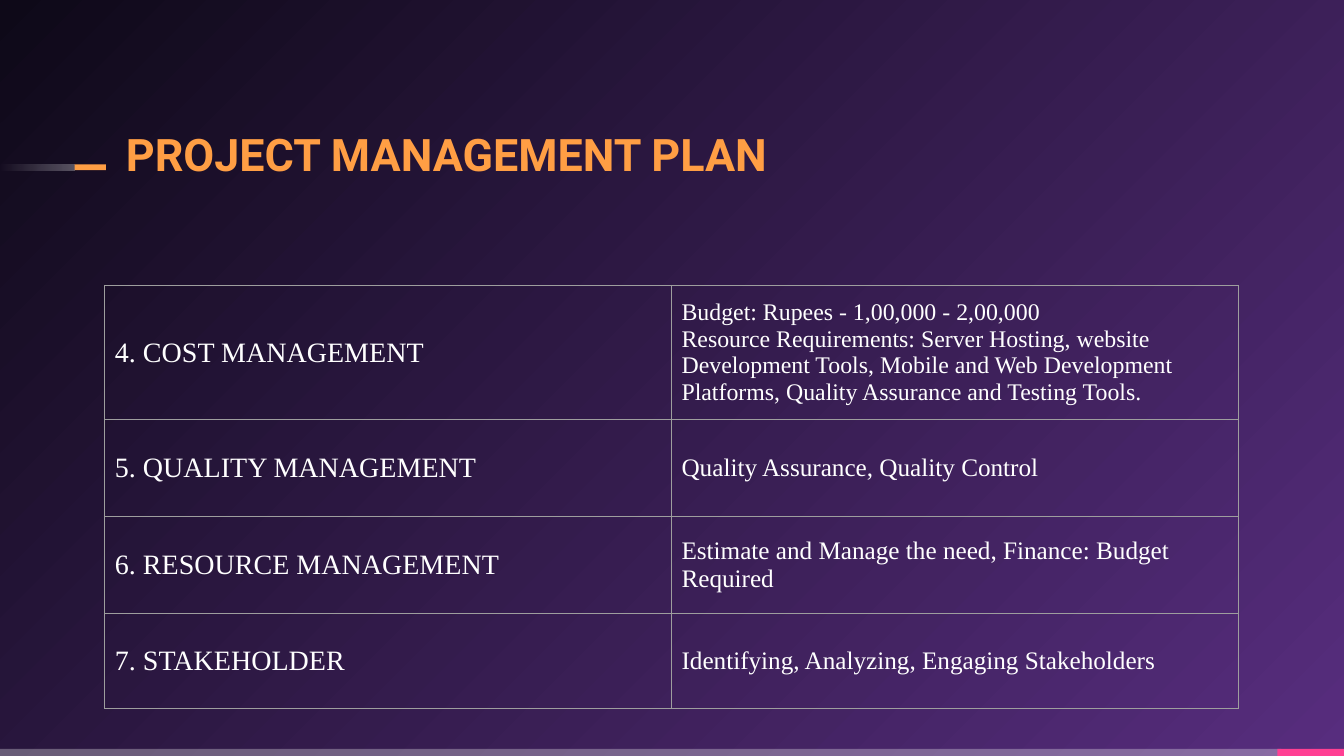
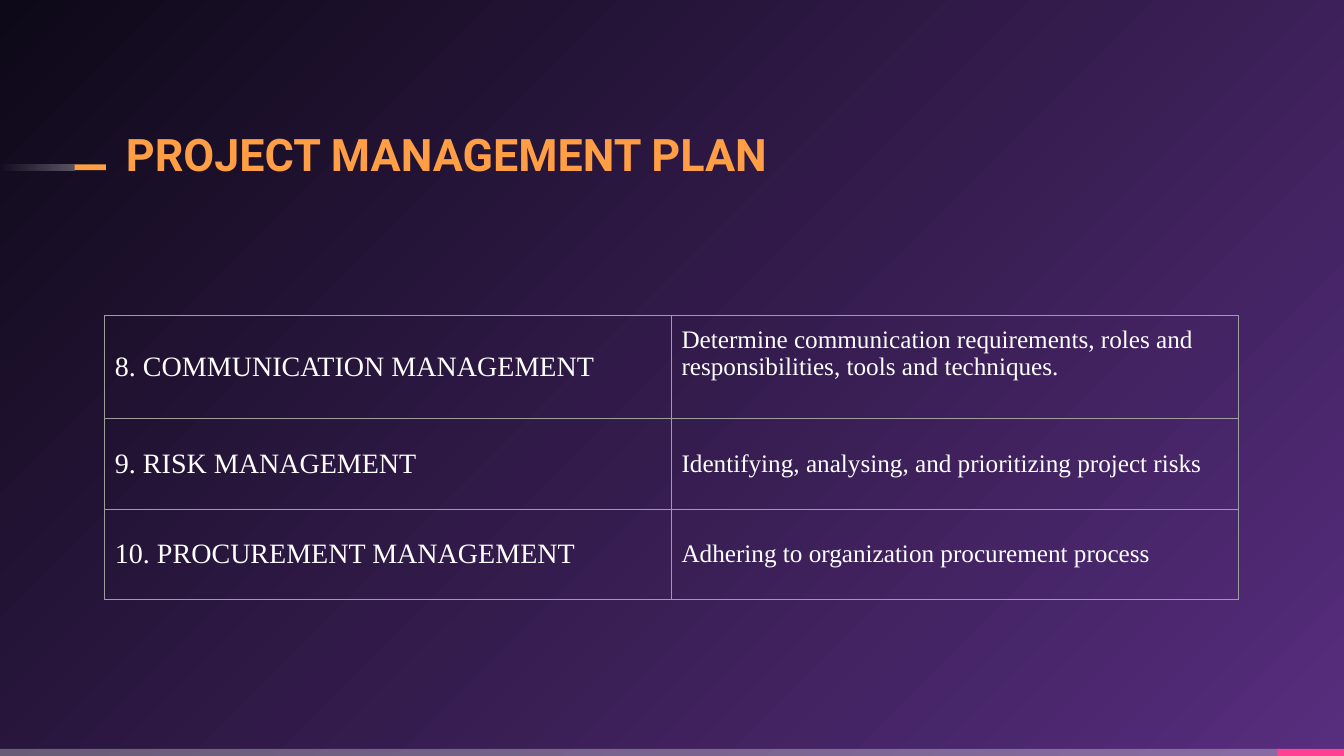
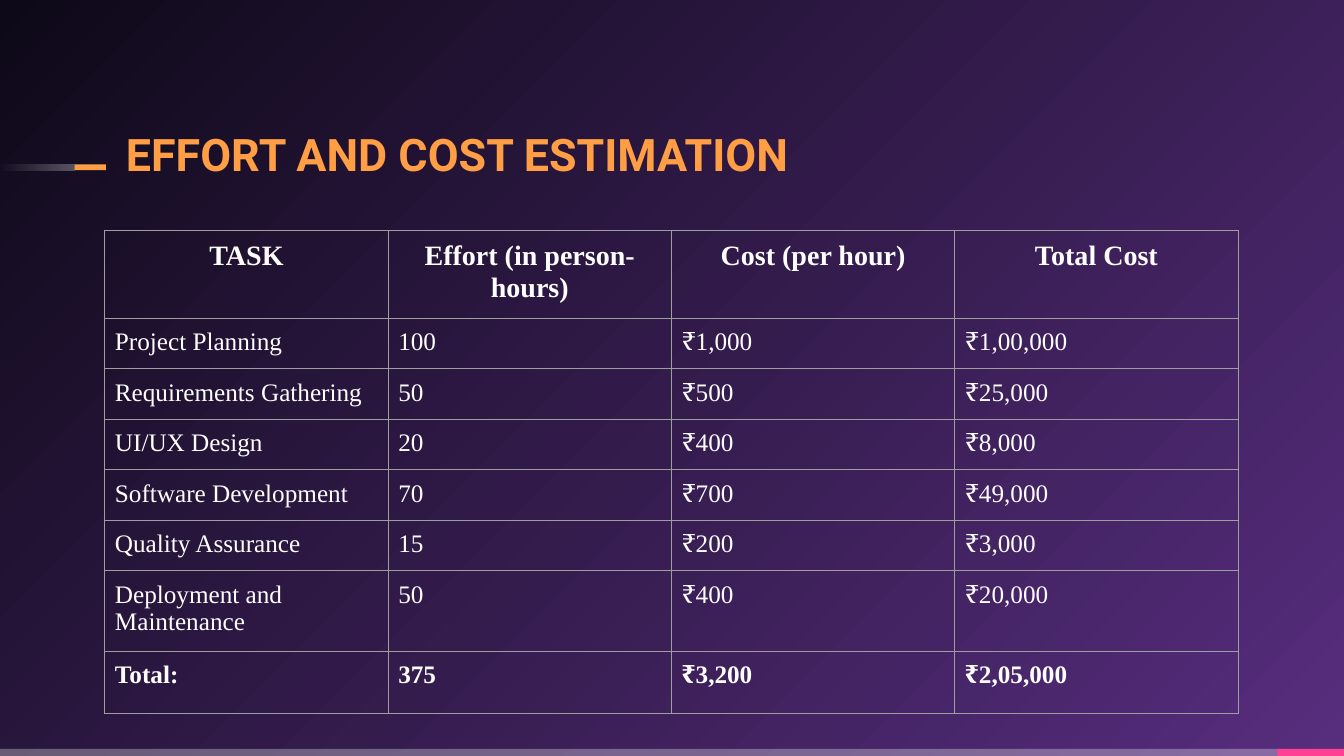
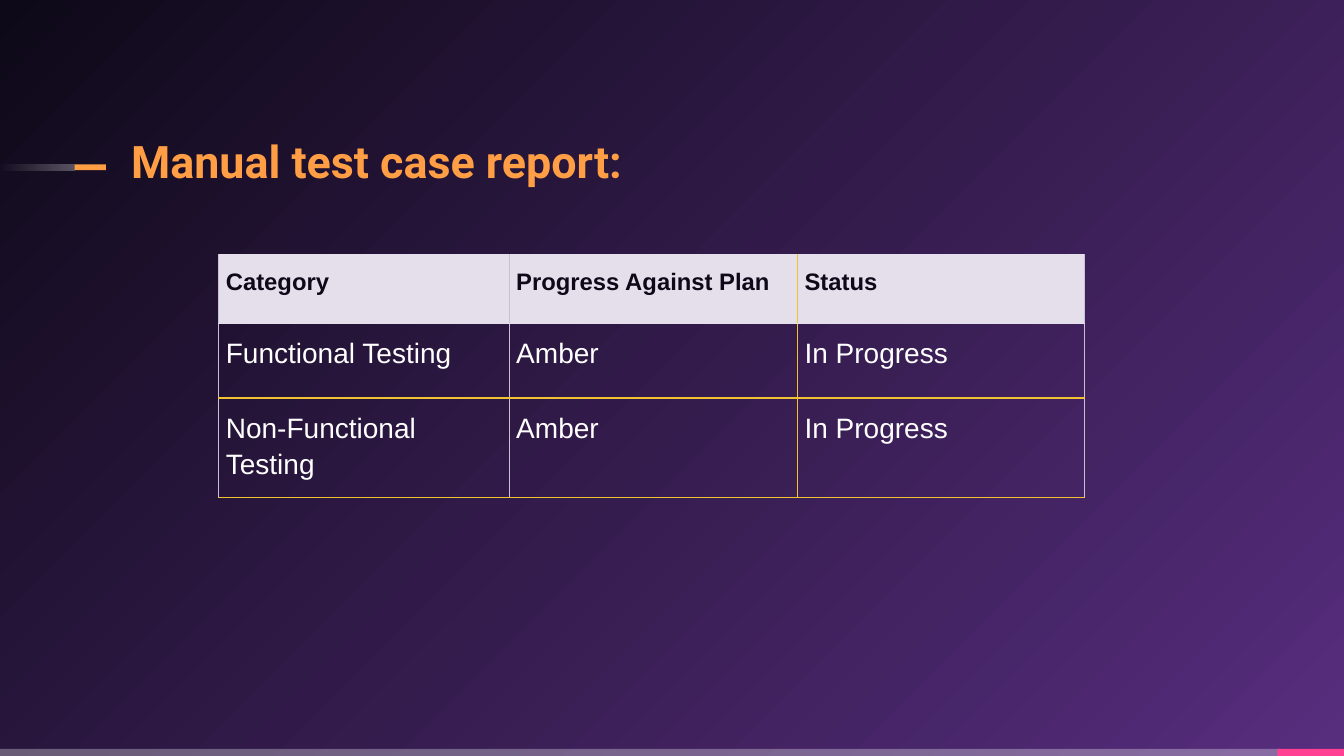
"""Build four project slides: plan tables, cost estimate and test report."""
from dataclasses import dataclass

from lxml import etree
from pptx import Presentation
from pptx.dml.color import RGBColor
from pptx.enum.shapes import MSO_SHAPE
from pptx.enum.text import MSO_ANCHOR, PP_ALIGN
from pptx.oxml.ns import qn
from pptx.util import Inches, Pt

RECT = MSO_SHAPE.RECTANGLE
TOP, MID, LOW = MSO_ANCHOR.TOP, MSO_ANCHOR.MIDDLE, MSO_ANCHOR.BOTTOM
LEFT, MIDDLE = PP_ALIGN.LEFT, PP_ALIGN.CENTER


@dataclass(frozen=True)
class Theme:
    night: str = "0E0918"
    purple: str = "572D7E"
    white: str = "FFFFFF"
    pink: str = "FF4093"
    orange: str = "FF9E44"
    grey: str = "9E9E9E"
    gold: str = "F1C232"
    pale: str = "E5DFEC"
    mist: str = "C9C0D6"
    head: str = "Roboto"
    serif: str = "Times New Roman"
    sans: str = "Arial"
    title: int = 32
    large: int = 20
    body: int = 18
    small: int = 17


T = Theme()

BASE = dict(font=T.serif, size=T.body, color=T.white, bold=False, align=LEFT,
            anchor=TOP, space=1.0, side=0.1, fill=None)


def plan(row, col):
    return dict(anchor=MID, size=T.body if col else T.large)


def cost_plan(row, col):
    return plan(row, col) | (dict(size=T.small) if (row, col) == (0, 1) else {})


def talk_plan(row, col):
    return plan(row, col) | (dict(anchor=TOP) if (row, col) == (0, 1) else {})


def budget(row, col):
    if row == 0:
        return dict(size=T.large, bold=True, align=MIDDLE)
    return dict(bold=row == 7)


def report(row, col):
    look = dict(font=T.sans, size=T.large, space=1.15, side=0.07)
    if row == 0:
        look |= dict(size=T.small, color=T.night, bold=True, fill=T.pale)
    return look


PLAN = "PROJECT MANAGEMENT PLAN"
HEAD_AT = (1.25, 1.22)

SLIDES = [
    dict(title=PLAN, head=HEAD_AT, at=(1.04, 2.83), style=cost_plan,
         cols=[5.62] * 2, heights=[1.25, 0.96, 0.96, 0.94], rows=[
             ("4. COST MANAGEMENT",
              "Budget: Rupees - 1,00,000 - 2,00,000\n"
              "Resource Requirements: Server Hosting, website Development Tools, "
              "Mobile and Web Development Platforms, "
              "Quality Assurance and Testing Tools."),
             ("5. QUALITY MANAGEMENT", "Quality Assurance, Quality Control"),
             ("6. RESOURCE MANAGEMENT",
              "Estimate and Manage the need, Finance: Budget Required"),
             ("7. STAKEHOLDER",
              "Identifying, Analyzing, Engaging Stakeholders")]),
    dict(title=PLAN, head=HEAD_AT, at=(1.04, 3.13), style=talk_plan,
         cols=[5.62] * 2, heights=[1.02, 0.9, 0.9], rows=[
             ("8. COMMUNICATION MANAGEMENT",
              "Determine communication requirements, roles and\n"
              "responsibilities, tools and techniques."),
             ("9. RISK MANAGEMENT",
              "Identifying, analysing, and prioritizing project risks"),
             ("10. PROCUREMENT MANAGEMENT",
              "Adhering to organization procurement process")]),
    dict(title="EFFORT AND COST ESTIMATION", head=HEAD_AT, at=(1.04, 2.29),
         style=budget, cols=[2.81] * 4,
         heights=[0.81] + [0.48] * 5 + [0.75, 0.62], rows=[
             ("TASK", "Effort (in person-hours)", "Cost (per hour)", "Total Cost"),
             ("Project Planning", "100", "₹1,000", "₹1,00,000"),
             ("Requirements Gathering", "50", "₹500", "₹25,000"),
             ("UI/UX Design", "20", "₹400", "₹8,000"),
             ("Software Development", "70", "₹700", "₹49,000"),
             ("Quality Assurance", "15", "₹200", "₹3,000"),
             ("Deployment and Maintenance", "50", "₹400", "₹20,000"),
             ("Total:", "375", "₹3,200", "₹2,05,000")]),
    dict(title="Manual test case report:", head=(1.3, 1.29), at=(2.17, 2.53),
         style=report, cols=[2.88, 2.86, 2.85], heights=[0.68, 0.74, 0.99],
         across=[(T.pale, 1), (T.pale, 1), (T.gold, 1.5), (T.gold, 1)],
         down=[(T.mist, 1), (T.mist, 1), (T.gold, 1), (T.mist, 1)], rows=[
             ("Category", "Progress Against Plan", "Status"),
             ("Functional Testing", "Amber", "In Progress"),
             ("Non-Functional Testing", "Amber", "In Progress")]),
]

BANDS = [
    ((0, 7.43, 12.71, 0.07), [(T.white, 30)]),
    ((12.67, 7.43, 0.66, 0.07), [(T.pink, 100)]),
    ((0, 1.63, 0.74, 0.06), [(T.white, 30), (T.white, 0)]),
    ((0.74, 1.63, 0.31, 0.06), [(T.orange, 100)]),
]


def rgb(code):
    return RGBColor.from_string(code)


def blend(fill, codes):
    fill.gradient()
    for stop, code in zip(fill.gradient_stops, codes):
        stop.color.rgb = rgb(code)


def paint_back(master):
    blend(master.background.fill, (T.purple, T.night))
    grad = master.element.find(".//" + qn("a:gradFill"))
    grad.remove(grad.find(qn("a:lin")))
    circle = etree.SubElement(grad, qn("a:path"), {"path": "circle"})
    etree.SubElement(circle, qn("a:fillToRect"), l="100000", t="100000")


def add_band(slide, box, tints):
    band = slide.shapes.add_shape(RECT, *map(Inches, box))
    band.shadow.inherit = False
    band.line.fill.background()
    if len(tints) > 1:
        blend(band.fill, [code for code, _ in tints])
        band.fill.gradient_angle = 180
    else:
        band.fill.solid()
        band.fill.fore_color.rgb = rgb(tints[0][0])
    for node, (_, share) in zip(band.element.iter(qn("a:srgbClr")), tints):
        if share < 100:
            etree.SubElement(node, qn("a:alpha"), val=str(share * 1000))


def set_font(para, name, size, color, bold):
    font = para.font
    font.name, font.size, font.bold = name, Pt(size), bold
    font.color.rgb = rgb(color)


def add_title(slide, text, spot):
    frame = slide.shapes.add_textbox(
        *map(Inches, (*spot, 7.74, 0.58))).text_frame
    frame.word_wrap = True
    frame.vertical_anchor = LOW
    frame.margin_left = frame.margin_right = 0
    frame.margin_top = frame.margin_bottom = 0
    frame.text = text
    para = frame.paragraphs[0]
    para.line_spacing = 0.9
    set_font(para, T.head, T.title, T.orange, True)


def add_edge(cell, side, color, width):
    props = cell._tc.get_or_add_tcPr()
    line = etree.SubElement(props, qn("a:ln" + side), w=str(Pt(width)))
    fill = etree.SubElement(line, qn("a:solidFill"))
    etree.SubElement(fill, qn("a:srgbClr"), val=color)


def fill_cell(cell, text, look):
    cell.text = text
    cell.vertical_anchor = look["anchor"]
    cell.margin_left = cell.margin_right = Inches(look["side"])
    cell.margin_top = cell.margin_bottom = Inches(0.1)
    if look["fill"]:
        cell.fill.solid()
        cell.fill.fore_color.rgb = rgb(look["fill"])
    else:
        cell.fill.background()
    for para in cell.text_frame.paragraphs:
        para.alignment = look["align"]
        para.line_spacing = look["space"]
        set_font(para, look["font"], look["size"], look["color"], look["bold"])


def add_grid(slide, page):
    rows, cols, tall = page["rows"], page["cols"], page["heights"]
    box = (*page["at"], sum(cols), sum(tall))
    table = slide.shapes.add_table(
        len(rows), len(cols), *map(Inches, box)).table
    table.first_row = table.horz_banding = False
    for col, width in zip(table.columns, cols):
        col.width = Inches(width)
    for row, height in zip(table.rows, tall):
        row.height = Inches(height)
    plain = [(T.grey, 0.75)]
    across = page.get("across", plain * (len(rows) + 1))
    down = page.get("down", plain * (len(cols) + 1))
    for r, row in enumerate(rows):
        for c, text in enumerate(row):
            cell = table.cell(r, c)
            edges = (down[c], down[c + 1], across[r], across[r + 1])
            for side, edge in zip("LRTB", edges):
                add_edge(cell, side, *edge)
            fill_cell(cell, text, BASE | page["style"](r, c))


def main():
    deck = Presentation()
    deck.slide_width, deck.slide_height = Inches(13.33), Inches(7.5)
    paint_back(deck.slide_master)
    for page in SLIDES:
        slide = deck.slides.add_slide(deck.slide_layouts[6])
        for band in BANDS:
            add_band(slide, *band)
        add_title(slide, page["title"], page["head"])
        add_grid(slide, page)
    deck.save("out.pptx")


if __name__ == "__main__":
    main()
